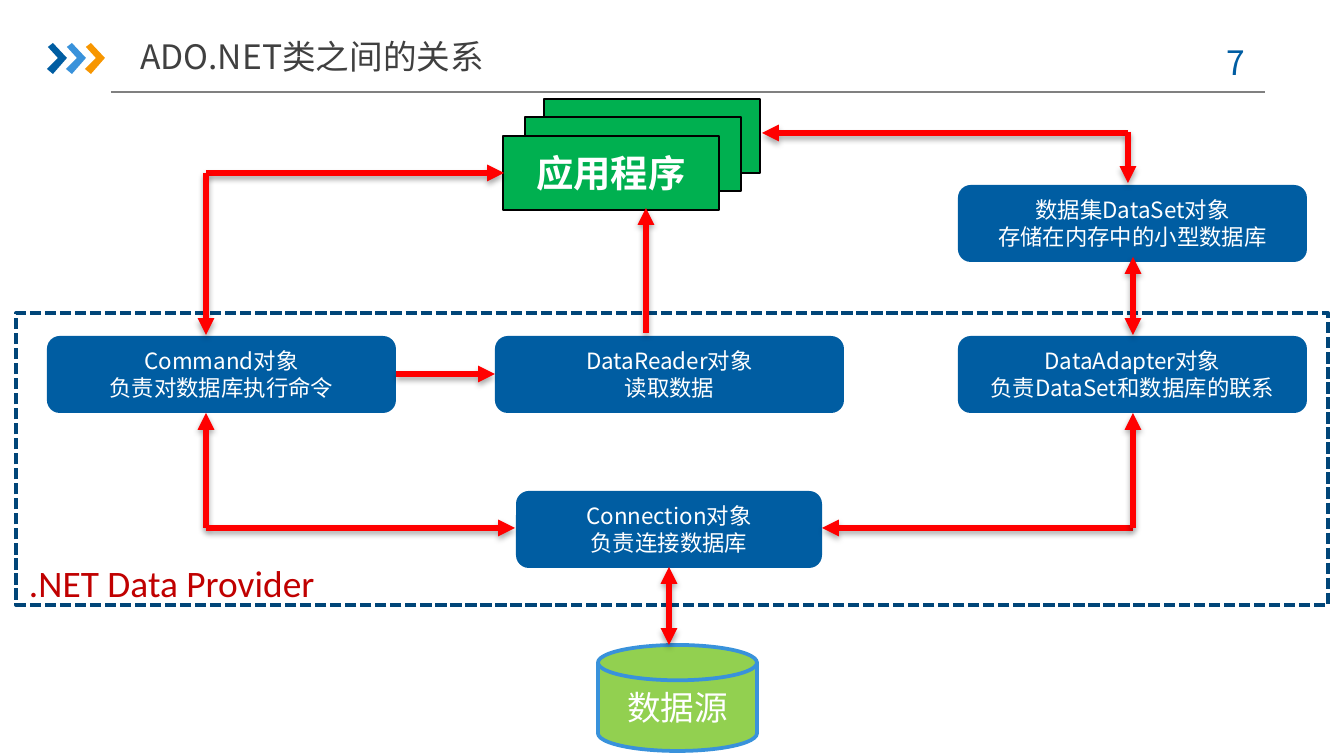
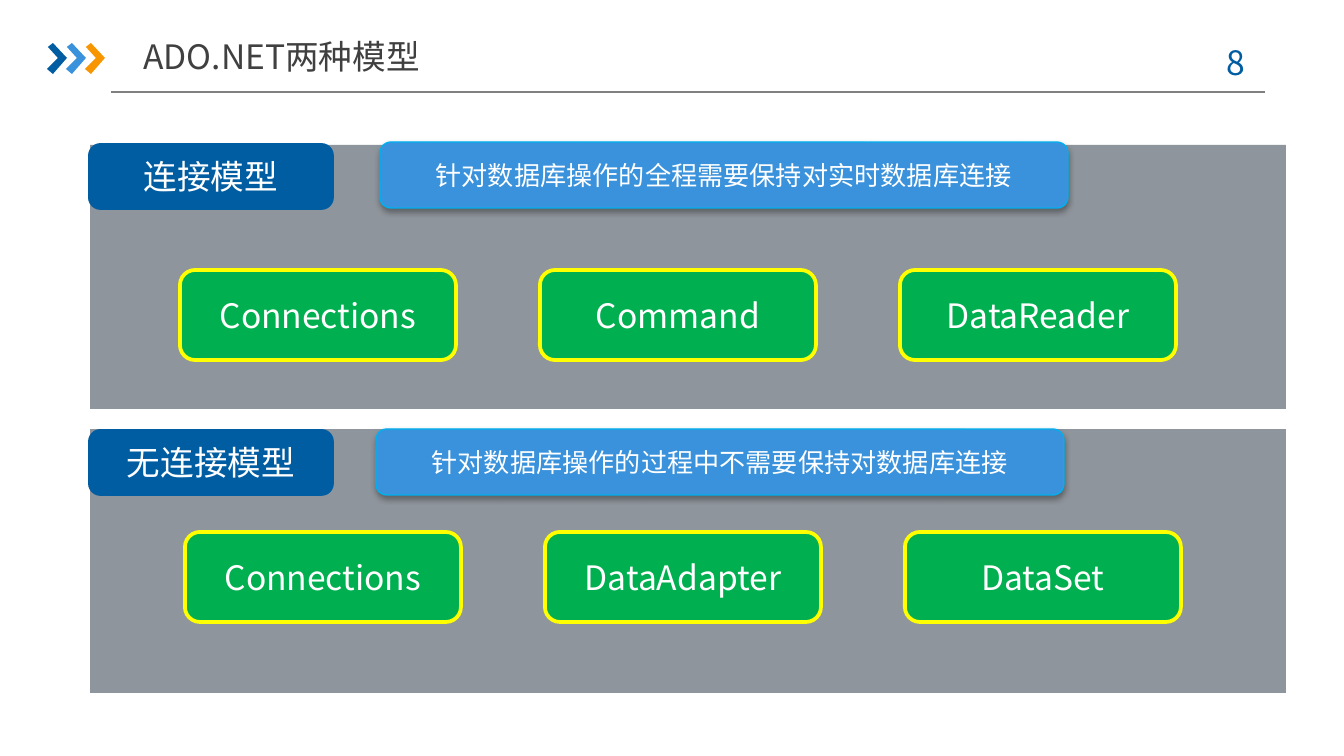
from lxml import etree
from pptx import Presentation
from pptx.dml.color import RGBColor
from pptx.enum.dml import MSO_LINE
from pptx.enum.shapes import MSO_CONNECTOR, MSO_SHAPE
from pptx.enum.text import MSO_ANCHOR, MSO_AUTO_SIZE, PP_ALIGN
from pptx.oxml.ns import qn
from pptx.util import Pt

LINE = MSO_CONNECTOR.STRAIGHT
RECT, ROUND = MSO_SHAPE.RECTANGLE, MSO_SHAPE.ROUNDED_RECTANGLE
DISK = MSO_SHAPE.FLOWCHART_MAGNETIC_DISK
MID, LOW = MSO_ANCHOR.MIDDLE, MSO_ANCHOR.BOTTOM
LEFT, CENTER = PP_ALIGN.LEFT, PP_ALIGN.CENTER
DASH = MSO_LINE.SQUARE_DOT

BLUE = RGBColor(0x00, 0x5D, 0xA2)
SKY = RGBColor(0x39, 0x92, 0xDB)
CYAN = RGBColor(0x00, 0xB0, 0xF0)
NAVY = RGBColor(0x00, 0x45, 0x78)
AMBER = RGBColor(0xF7, 0x96, 0x00)
YELLOW = RGBColor(0xFF, 0xFF, 0x00)
GREEN = RGBColor(0x00, 0xB0, 0x50)
LIME = RGBColor(0x92, 0xD0, 0x50)
RED = RGBColor(0xFF, 0x00, 0x00)
WINE = RGBColor(0xC0, 0x00, 0x00)
BLACK = RGBColor(0x00, 0x00, 0x00)
DARK = RGBColor(0x40, 0x40, 0x40)
GRAY = RGBColor(0x80, 0x80, 0x80)
SLATE = RGBColor(0x8F, 0x95, 0x9C)
WHITE = RGBColor(0xFF, 0xFF, 0xFF)

HAN, LATIN = "Noto Sans CJK SC", "Calibri"
PX = 914400 / 134.4


def write(shape, text, size=18, color=WHITE, font=HAN, bold=False,
          align=CENTER, anchor=MID, side=13, edge=7):
    frame = shape.text_frame
    frame.word_wrap = True
    frame.auto_size = MSO_AUTO_SIZE.NONE
    frame.vertical_anchor = anchor
    frame.margin_left = frame.margin_right = round(side * PX)
    frame.margin_top = frame.margin_bottom = round(edge * PX)
    frame.text = text
    for par in frame.paragraphs:
        par.alignment = align
        for run in par.runs:
            run.font.size, run.font.bold = Pt(size), bold
            run.font.name, run.font.color.rgb = font, color
            east = etree.SubElement(run.font._element, qn("a:ea"))
            east.set("typeface", font)


def cast(shape, deep=True):
    """Set the effect list of a shape: a soft shadow below it, or none."""
    list_ = etree.SubElement(shape._element.spPr, qn("a:effectLst"))
    if deep:
        soft = etree.SubElement(list_, qn("a:outerShdw"), blurRad="40000",
                                dist="23000", dir="5400000", rotWithShape="0")
        tint = etree.SubElement(soft, qn("a:srgbClr"), val="000000")
        etree.SubElement(tint, qn("a:alpha"), val="35000")


# Slide 1: kind, place, fill, line, line width, text, text format
small = {"size": 12}
flow = [
    (DISK, (598, 645, 159, 106), LIME, SKY, 2, "数据源", {}),
    (ROUND, (516, 491, 306, 77), BLUE, None, 0,
     "Connection对象\n负责连接数据库", small),
]
for x, y, text in [
    (47, 336, "Command对象\n负责对数据库执行命令"),
    (495, 336, "DataReader对象\n读取数据"),
    (958, 336, "DataAdapter对象\n负责DataSet和数据库的联系"),
    (958, 185, "数据集DataSet对象\n存储在内存中的小型数据库"),
]:
    flow.append((ROUND, (x, y, 349, 77), BLUE, None, 0, text, small))
flow.append((RECT, (16, 313, 1312, 292), None, NAVY, 2, ".NET Data Provider",
             {"size": 20, "color": WINE, "font": LATIN, "align": LEFT,
              "anchor": LOW, "edge": 0}))
for x, y, wide, text in [(544, 99, 1, ""), (525, 117, 0.75, ""),
                         (503, 136, 0.75, "应用程序")]:
    flow.append((RECT, (x, y, 216, 74), GREEN, BLACK, wide, text,
                 {"size": 20, "bold": True}))

# Arrows: start, end, whether the start has a head too
links = [
    (669, 645, 669, 567, True),
    (206, 528, 206, 413, False),
    (206, 528, 515, 528, False),
    (396, 374, 495, 374, False),
    (1133, 528, 822, 528, False),
    (1133, 528, 1133, 413, False),
    (1133, 335, 1133, 257, True),
    (206, 173, 504, 173, False),
    (206, 173, 206, 335, False),
    (1128, 133, 762, 133, False),
    (1128, 132, 1128, 183, False),
    (646, 333, 646, 208, False),
]

# Slide 2: two panels, each with a label, a banner and three boxes
models = []
for top, label, tag, banner, note, cell, names in [
    (145, 145, "连接模型", (380, 142), "针对数据库操作的全程需要保持对实时数据库连接",
     (180, 270), ("Connections", "Command", "DataReader")),
    (429, 431, "无连接模型", (376, 429), "针对数据库操作的过程中不需要保持对数据库连接",
     (185, 532), ("Connections", "DataAdapter", "DataSet")),
]:
    models += [
        (RECT, (90, top, 1196, 264), SLATE, None, 0, "", {}),
        (ROUND, (90, label, 242, 63), BLUE, BLUE, 2, tag, {}),
        (ROUND, (*banner, 688, 66), SKY, CYAN, 0.75, note, {"size": 14}),
    ]
    for i, name in enumerate(names):
        models.append((ROUND, (cell[0] + 360 * i, cell[1], 276, 90),
                       GREEN, YELLOW, 2, name, {}))

deck = Presentation()
deck.slide_width, deck.slide_height = round(1344 * PX), round(756 * PX)

for page, head, left, width, parts, lines in [
    (7, "ADO.NET类之间的关系", 122, 380, flow, links),
    (8, "ADO.NET两种模型", 112, 339, models, []),
]:
    slide = deck.slides.add_slide(deck.slide_layouts[5])
    shapes = slide.shapes

    # Header: rule, chevrons, page number, title
    rule = shapes.add_connector(LINE, *(round(v * PX)
                                        for v in (111, 92, 1265, 92)))
    rule.line.color.rgb, rule.line.width = GRAY, Pt(0.75)
    cast(rule, deep=False)
    for i, color in enumerate((BLUE, SKY, AMBER)):
        dx = 19 * i
        pen = shapes.build_freeform(48 + dx, 47, scale=PX)
        pen.add_line_segments([(x + dx, y) for x, y in (
            (53, 43), (67, 58), (53, 74), (47, 69), (58, 58))], close=True)
        mark = pen.convert_to_shape()
        mark.fill.solid()
        mark.fill.fore_color.rgb = color
        mark.line.fill.background()
        mark.shadow.inherit = False
    count = shapes.add_textbox(*(round(v * PX) for v in (1191, 35, 98, 54)))
    write(count, f"{page} ", color=BLUE)
    title = shapes.title
    title.left, title.top, title.width, title.height = (
        round(v * PX) for v in (left, 28, width, 56))
    write(title, head, color=DARK, side=0)

    # Boxes
    for kind, place, fill, edge, wide, text, style in parts:
        box = shapes.add_shape(kind, *(round(v * PX) for v in place))
        if fill is None:
            box.fill.background()
        else:
            box.fill.solid()
            box.fill.fore_color.rgb = fill
        if edge is None:
            box.line.fill.background()
        else:
            box.line.color.rgb, box.line.width = edge, Pt(wide)
        if fill is None:
            box.line.dash_style = DASH
        cast(box, deep=edge == CYAN)
        if text:
            write(box, text, **style)

    # Arrows
    for *ends, both in lines:
        link = shapes.add_connector(LINE, *(round(v * PX) for v in ends))
        link.line.color.rgb, link.line.width = RED, Pt(3)
        tips = ("headEnd", "tailEnd") if both else ("tailEnd",)
        for tip in tips:
            etree.SubElement(link.line._get_or_add_ln(), qn(f"a:{tip}"),
                             type="triangle")
        cast(link)

deck.save("out.pptx")
